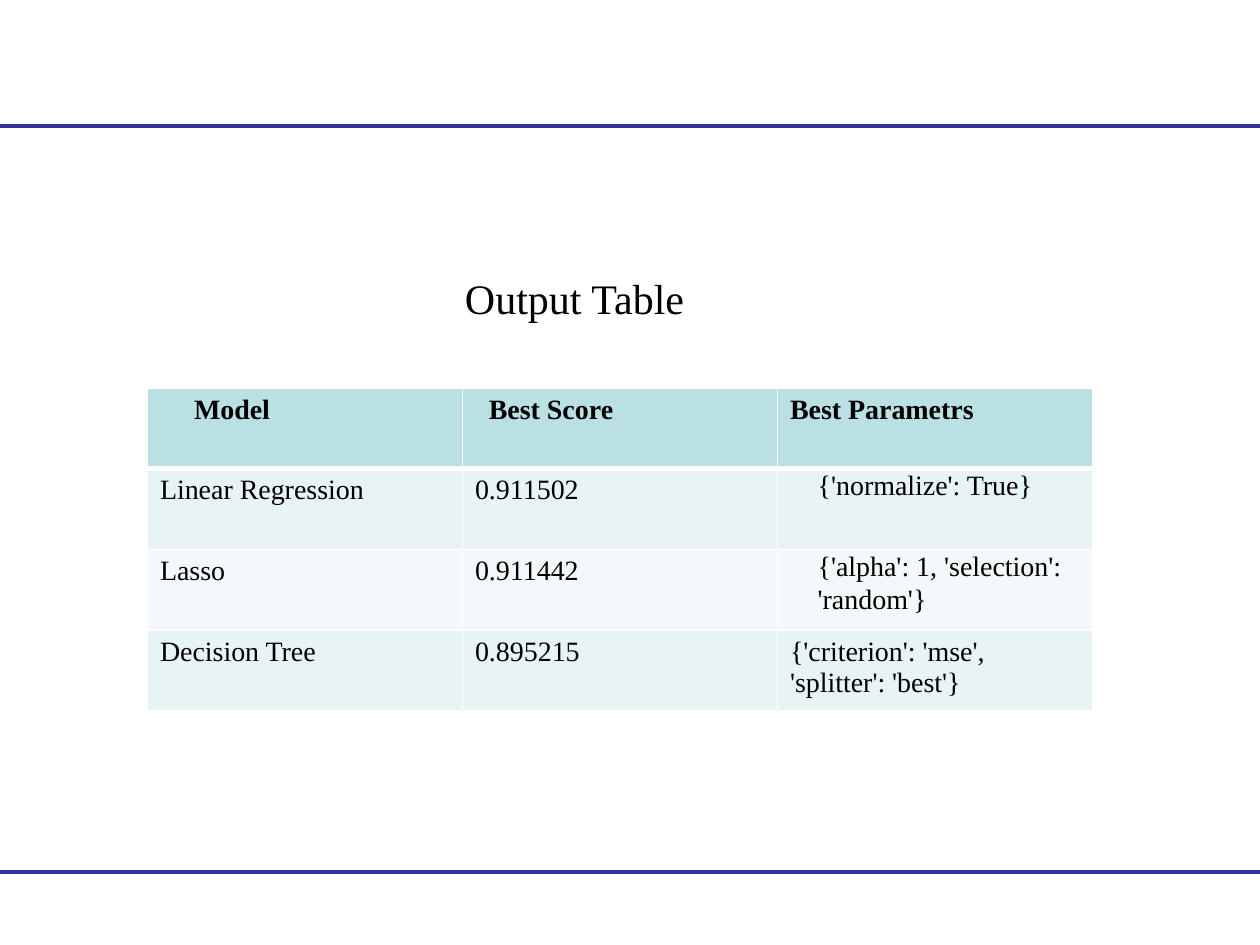
from dataclasses import dataclass

from lxml.etree import SubElement
from pptx import Presentation
from pptx.dml.color import RGBColor
from pptx.enum.shapes import MSO_CONNECTOR
from pptx.enum.text import MSO_ANCHOR, PP_ALIGN
from pptx.oxml.ns import qn
from pptx.util import Inches, Pt

FONT = "Times New Roman"
COLORS = {
    "rule": "333399",
    "text": "000000",
    "header": "BBE0E3",
    "odd": "E7F3F4",
    "even": "F3F9FA",
    "border": "FFFFFF",
}


@dataclass
class Cell:
    text: str
    indent: float = 0
    param: bool = False


@dataclass
class Row:
    fill: str
    cells: list[Cell]
    bold: bool = False
    top: float = 1
    bottom: float = 1


ROWS = [
    Row("header", [Cell("Model", 0.27), Cell("Best Score", 0.11),
                   Cell("Best Parametrs")], bold=True, bottom=3),
    Row("odd", [Cell("Linear Regression"), Cell("0.911502"),
                Cell("{'normalize': True}", 0.2, True)], top=3),
    Row("even", [Cell("Lasso"), Cell("0.911442"),
                 Cell("{'alpha': 1, 'selection': 'random'}", 0.2, True)]),
    Row("odd", [Cell("Decision Tree"), Cell("0.895215"),
                Cell("{'criterion': 'mse', 'splitter': 'best'}")]),
]


def rgb(name: str) -> RGBColor:
    return RGBColor.from_string(COLORS[name])


def add_run(p, text: str, size: float, bold: bool = False) -> None:
    r = p.add_run()
    r.text = text
    r.font.name = FONT
    r.font.size = Pt(size)
    r.font.bold = bold
    r.font.color.rgb = rgb("text")


def add_rule(s, y: float) -> None:
    ln = s.shapes.add_connector(
        MSO_CONNECTOR.STRAIGHT, Inches(0), Inches(y), Inches(10), Inches(y))
    ln.line.color.rgb = rgb("rule")
    ln.line.width = Pt(2.25)
    SubElement(ln._element.spPr, qn("a:effectLst"))


def set_title(s, text: str) -> None:
    sp = s.shapes.title
    sp.left, sp.top = Inches(3.59), Inches(2.11)
    sp.width, sp.height = Inches(2.4), Inches(0.5)
    tf = sp.text_frame
    tf.vertical_anchor = MSO_ANCHOR.MIDDLE
    p = tf.paragraphs[0]
    p.alignment = PP_ALIGN.LEFT
    add_run(p, text, 24)


def set_borders(cell, top: float, bottom: float) -> None:
    tcPr = cell._tc.get_or_add_tcPr()
    for side, width in (("L", 1), ("R", 1), ("T", top), ("B", bottom)):
        ln = SubElement(tcPr, qn(f"a:ln{side}"), w=str(Pt(width)))
        fill = SubElement(ln, qn("a:solidFill"))
        SubElement(fill, qn("a:srgbClr"), val=COLORS["border"])


def fill_cell(cell, row: Row, item: Cell) -> None:
    set_borders(cell, row.top, row.bottom)
    cell.fill.solid()
    cell.fill.fore_color.rgb = rgb(row.fill)
    p = cell.text_frame.paragraphs[0]
    if item.indent:
        pPr = p._p.get_or_add_pPr()
        pPr.set("marL", str(Inches(item.indent)))
        pPr.set("indent", "0")
    if item.param:
        cell.margin_left = cell.margin_right = Inches(0.12)
        cell.margin_top = cell.margin_bottom = Inches(0)
        p.line_spacing = 1.07
        p.space_after = Pt(8)
    add_run(p, item.text, 16, row.bold)


def add_model_table(s, rows: list[Row]) -> None:
    table = s.shapes.add_table(
        len(rows), len(rows[0].cells),
        Inches(1.17), Inches(3.08), Inches(7.5), Inches(2.56)).table
    for i, row in enumerate(rows):
        for j, item in enumerate(row.cells):
            fill_cell(table.cell(i, j), row, item)


def main() -> None:
    prs = Presentation()
    prs.slide_width, prs.slide_height = Inches(10), Inches(7.5)
    s = prs.slides.add_slide(prs.slide_layouts[5])
    for y in (1, 6.92):
        add_rule(s, y)
    set_title(s, "Output Table")
    add_model_table(s, ROWS)
    prs.save("out.pptx")


if __name__ == "__main__":
    main()
